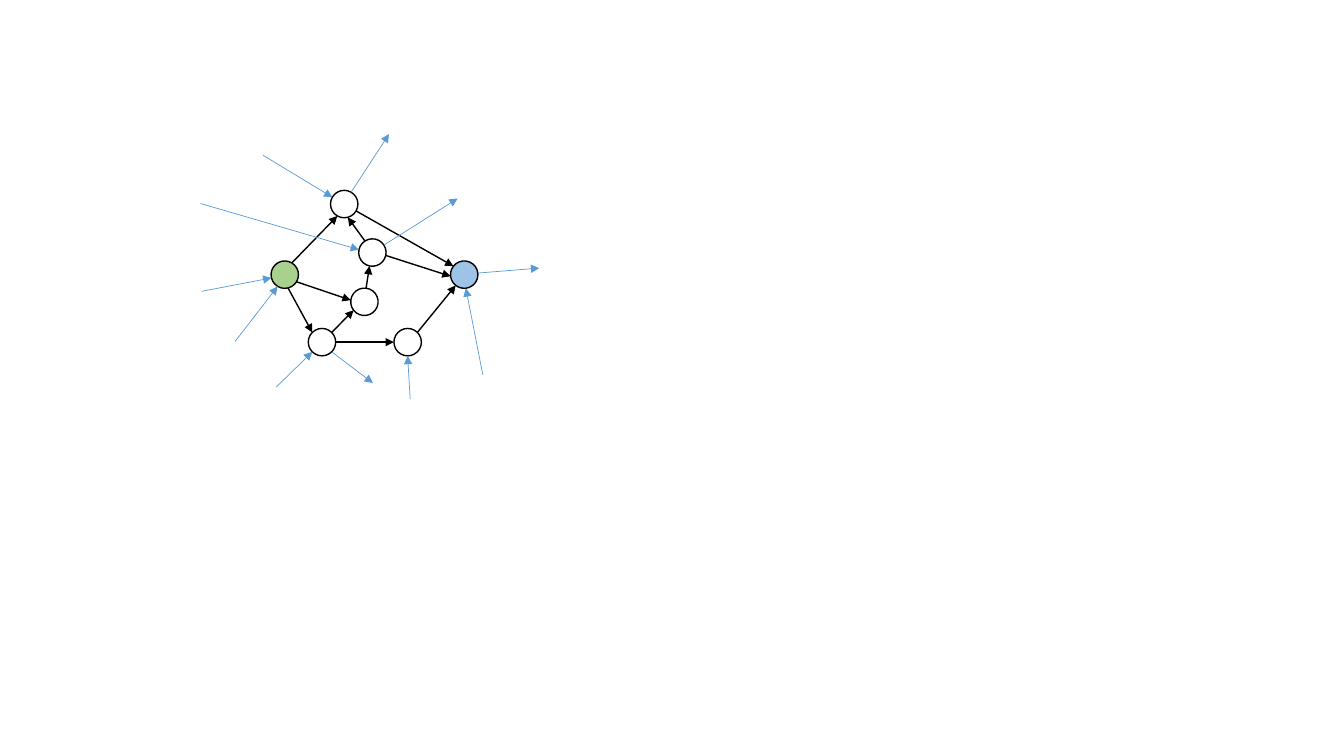
from dataclasses import dataclass
from enum import IntEnum
from math import cos, radians, sin

from lxml import etree
from pptx import Presentation
from pptx.dml.color import RGBColor
from pptx.enum.shapes import MSO_CONNECTOR, MSO_SHAPE
from pptx.oxml.ns import qn
from pptx.util import Pt

STRAIGHT = MSO_CONNECTOR.STRAIGHT
OVAL = MSO_SHAPE.OVAL
BLANK_LAYOUT = 6
DIAMETER = 19.6
SITE_STEP = 45


class Site(IntEnum):
    TOP = 0
    TOP_LEFT = 1
    LEFT = 2
    BOTTOM_LEFT = 3
    BOTTOM = 4
    BOTTOM_RIGHT = 5
    RIGHT = 6
    TOP_RIGHT = 7


@dataclass(frozen=True)
class Theme:
    black: RGBColor = RGBColor(0x00, 0x00, 0x00)
    blue: RGBColor = RGBColor(0x5B, 0x9B, 0xD5)
    source_fill: RGBColor = RGBColor(0xA9, 0xD1, 0x8E)
    sink_fill: RGBColor = RGBColor(0x9D, 0xC3, 0xE6)
    inner_width: float = 1
    outer_width: float = 0.5


@dataclass(frozen=True)
class Point:
    x: float
    y: float


@dataclass(frozen=True)
class Node:
    center: Point
    rotation: float = 0
    fill: RGBColor | None = None

    def at(self, site: Site) -> Point:
        angle = radians(SITE_STEP * site - self.rotation)
        radius = DIAMETER / 2
        return Point(self.center.x - radius * sin(angle),
                     self.center.y - radius * cos(angle))


@dataclass(frozen=True)
class Arrow:
    start: Point
    end: Point


THEME = Theme()

top = Node(Point(245.9, 145.8), -15)
upper = Node(Point(266, 180.4), 12.2)
source = Node(Point(203.4, 196.2), -13.9, THEME.source_fill)
middle = Node(Point(260.3, 215.6), 7.1)
lower = Node(Point(230, 244.4))
base = Node(Point(291.2, 244.4))
sink = Node(Point(331.6, 196.2), -6.7, THEME.sink_fill)
NODES = [upper, base, lower, source, middle, sink, top]

INNER_ARROWS = [
    Arrow(upper.at(Site.RIGHT), sink.at(Site.LEFT)),
    Arrow(source.at(Site.BOTTOM), lower.at(Site.TOP_LEFT)),
    Arrow(source.at(Site.BOTTOM_RIGHT), middle.at(Site.LEFT)),
    Arrow(lower.at(Site.RIGHT), base.at(Site.LEFT)),
    Arrow(base.at(Site.TOP_RIGHT), sink.at(Site.BOTTOM_LEFT)),
    Arrow(middle.at(Site.TOP), upper.at(Site.BOTTOM)),
    Arrow(source.at(Site.TOP_RIGHT), top.at(Site.BOTTOM_LEFT)),
    Arrow(top.at(Site.BOTTOM_RIGHT), sink.at(Site.TOP_LEFT)),
    Arrow(lower.at(Site.TOP_RIGHT), middle.at(Site.BOTTOM_LEFT)),
    Arrow(upper.at(Site.TOP_LEFT), top.at(Site.BOTTOM)),
]

OUTER_ARROWS = [
    Arrow(Point(143.3, 145.4), upper.at(Site.LEFT)),
    Arrow(Point(144, 208.1), source.at(Site.LEFT)),
    Arrow(Point(167.8, 244.1), source.at(Site.BOTTOM_LEFT)),
    Arrow(Point(187.9, 110.9), top.at(Site.TOP_LEFT)),
    Arrow(Point(197.3, 276.5), lower.at(Site.BOTTOM_LEFT)),
    Arrow(Point(293, 285.1), base.at(Site.BOTTOM)),
    Arrow(Point(344.9, 267.8), sink.at(Site.BOTTOM)),
    Arrow(top.at(Site.TOP_RIGHT), Point(277.9, 95.8)),
    Arrow(upper.at(Site.TOP_RIGHT), Point(326.9, 141.8)),
    Arrow(sink.at(Site.RIGHT), Point(385.2, 191.5)),
    Arrow(lower.at(Site.BOTTOM_RIGHT), Point(266.4, 273.6)),
]


def set_attributes(target: object, values: dict[str, object]) -> None:
    for name, value in values.items():
        setattr(target, name, value)


def format_line(line, color: RGBColor, width: float) -> None:
    line.fill.solid()
    set_attributes(line, {"width": Pt(width)})
    set_attributes(line.color, {"rgb": color})


def draw_node(page, node: Node) -> None:
    circle = page.shapes.add_shape(
        OVAL, Pt(node.center.x - DIAMETER / 2), Pt(node.center.y - DIAMETER / 2),
        Pt(DIAMETER), Pt(DIAMETER))
    set_attributes(circle, {"rotation": node.rotation})
    set_attributes(circle.shadow, {"inherit": False})
    format_line(circle.line, THEME.black, THEME.inner_width)
    if node.fill is None:
        circle.fill.background()
    else:
        circle.fill.solid()
        set_attributes(circle.fill.fore_color, {"rgb": node.fill})


def draw_arrow(page, arrow: Arrow, color: RGBColor, width: float) -> None:
    connector = page.shapes.add_connector(
        STRAIGHT, Pt(arrow.start.x), Pt(arrow.start.y),
        Pt(arrow.end.x), Pt(arrow.end.y))
    format_line(connector.line, color, width)
    properties = connector._element.spPr
    outline = properties.find(qn("a:ln"))
    etree.SubElement(outline, qn("a:tailEnd"), type="triangle")
    etree.SubElement(properties, qn("a:effectLst"))


deck = Presentation()
set_attributes(deck, {"slide_width": Pt(960), "slide_height": Pt(540)})
page = deck.slides.add_slide(deck.slide_layouts[BLANK_LAYOUT])

for node in NODES:
    draw_node(page, node)
for arrow in INNER_ARROWS:
    draw_arrow(page, arrow, THEME.black, THEME.inner_width)
for arrow in OUTER_ARROWS:
    draw_arrow(page, arrow, THEME.blue, THEME.outer_width)

deck.save("out.pptx")
